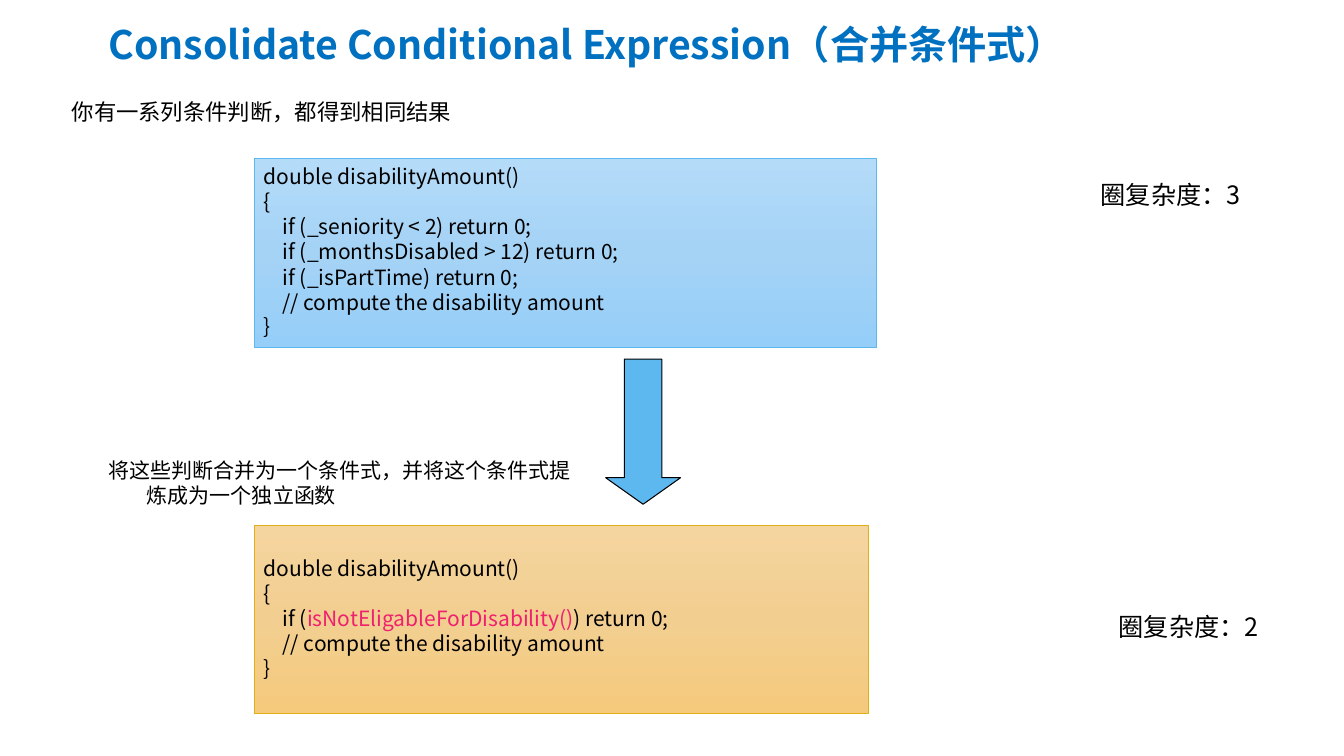
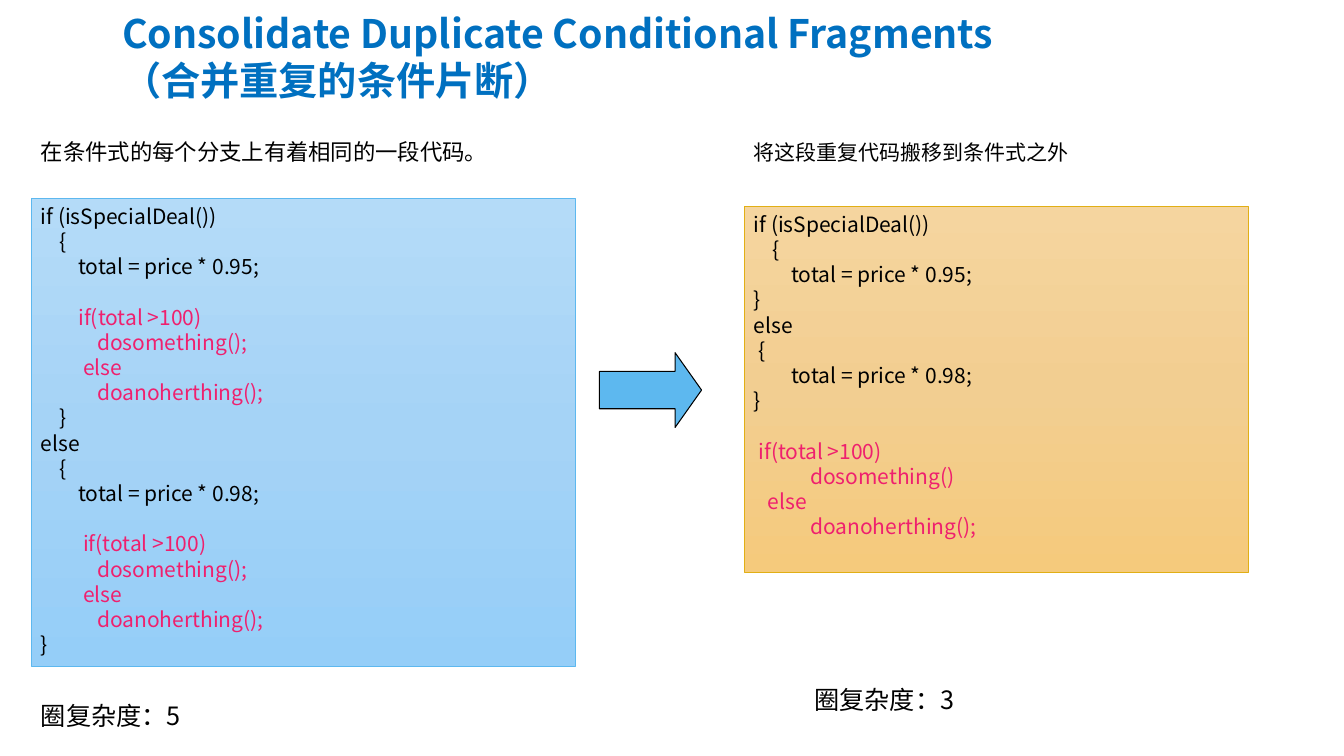
import copy

import pptx
import pptx.dml.color
import pptx.enum.shapes
import pptx.enum.text
import pptx.oxml
import pptx.oxml.ns
import pptx.util

Pt = pptx.util.Pt
FACE = "Noto Sans CJK SC"
HUES = {
    "ink": "000000",
    "title": "0070C0",
    "mark": "EF206E",
    "arrow": "5DB8EF",
}
CARDS = {
    "before": ("5DB8EF", ("B4DBF8", "A5D3F6", "95CEF8")),
    "after": ("E1AF15", ("F5D59F", "F2CE91", "F5CA7C")),
}

CONDS = """double disabilityAmount()
{
    if (_seniority < 2) return 0;
    if (_monthsDisabled > 12) return 0;
    if (_isPartTime) return 0;
    // compute the disability amount
｝"""

MERGED = """double disabilityAmount()
{
    if (|isNotEligableForDisability()|) return 0;
    // compute the disability amount
｝"""

TWICE = """if (isSpecialDeal())
    {
        total = price * 0.95;

|        if(total >100)
|            dosomething();
|         else
|            doanoherthing();
    }
else
    {
        total = price * 0.98;

|         if(total >100)
|            dosomething();
|         else
|            doanoherthing();
}"""

ONCE = """if (isSpecialDeal())
    {
        total = price * 0.95;
}
else
 {
        total = price * 0.98;
}

| if(total >100)
|            dosomething()
|   else
|            doanoherthing();"""


def tint(code):
    return pptx.dml.color.RGBColor.from_string(code)


class Deck:
    """Draws styled parts on a grid of 100 columns by 100 rows."""

    def __init__(self):
        self.prs = pptx.Presentation()
        self.prs.slide_width = pptx.util.Inches(13.33)
        self.prs.slide_height = pptx.util.Inches(7.5)
        self.page = None

    def start(self):
        self.page = self.prs.slides.add_slide(self.prs.slide_layouts[6])

    def place(self, left, top, wide, high):
        col, row = self.prs.slide_width / 100, self.prs.slide_height / 100
        return [round(n) for n in (left * col, top * row, wide * col, high * row)]

    def style(self, para, size, hue, face=FACE, bold=False):
        para.line_spacing = Pt(size * 1.2)
        font = para.font
        font.size, font.name, font.bold = Pt(size), face, bold
        font.color.rgb = tint(HUES[hue])
        east = pptx.oxml.parse_xml(
            f'<a:ea {pptx.oxml.ns.nsdecls("a")} typeface="{FACE}"/>')
        font._element.append(east)

    def text(self, words, area, size, hue="ink", face=FACE, bold=False, hang=0):
        frame = self.page.shapes.add_textbox(*self.place(*area)).text_frame
        frame.word_wrap = True
        for num, line in enumerate(words.split("\n")):
            para = frame.add_paragraph() if num else frame.paragraphs[0]
            para.text = line
            if hang:
                props = para._p.get_or_add_pPr()
                props.set("marL", str(pptx.util.Inches(hang)))
                props.set("indent", str(-pptx.util.Inches(hang)))
            self.style(para, size, hue, face, bold)
        return frame

    def title(self, words, left, top, high):
        frame = self.text(words, (left, top, 76, high), 28, "title", bold=True)
        frame.vertical_anchor = pptx.enum.text.MSO_ANCHOR.MIDDLE

    def note(self, words, left, top, wide, size, high=5):
        self.text(words, (left, top, wide, high), size, face="Arial", hang=0.38)

    def score(self, count, left, top):
        self.text(f"圈复杂度：{count}", (left, top, 17.5, 5.3), 18)

    def shape(self, kind, area, line, width):
        form = self.page.shapes.add_shape(kind, *self.place(*area))
        form.shadow.inherit = False
        form.line.color.rgb = tint(line)
        form.line.width = Pt(width)
        return form

    def arrow(self, area, turn=0):
        kind = pptx.enum.shapes.MSO_SHAPE.RIGHT_ARROW
        form = self.shape(kind, area, HUES["ink"], 0.75)
        form.adjustments[0], form.adjustments[1] = 0.5, 0.354
        form.rotation = turn
        form.fill.solid()
        form.fill.fore_color.rgb = tint(HUES["arrow"])

    def blend(self, form, shades):
        form.fill.gradient()
        form.fill.gradient_angle = 270
        stops = form._element.spPr.find(".//" + pptx.oxml.ns.qn("a:gsLst"))
        stops.insert(1, copy.deepcopy(stops[0]))
        for num, (stop, shade) in enumerate(zip(form.fill.gradient_stops, shades)):
            stop.position = num / 2
            stop.color.rgb = tint(shade)

    def code(self, card, source, area, pad=0):
        line, shades = CARDS[card]
        form = self.shape(pptx.enum.shapes.MSO_SHAPE.RECTANGLE, area, line, 0.5)
        self.blend(form, shades)
        frame = form.text_frame
        frame.word_wrap = True
        frame.vertical_anchor = pptx.enum.text.MSO_ANCHOR.TOP
        frame.margin_top = Pt(3.6 + pad)
        para, gap = frame.paragraphs[0], 0
        for num, row in enumerate(source.split("\n")):
            if not row:
                gap = 18
                continue
            para = frame.add_paragraph() if num else para
            para.alignment = pptx.enum.text.PP_ALIGN.LEFT
            if gap:
                para.space_before, gap = Pt(gap), 0
            bits = [(bit, ("ink", "mark")[part % 2])
                    for part, bit in enumerate(row.split("|")) if bit]
            base = bits[0][1]
            self.style(para, 15, base)
            for bit, hue in bits:
                run = para.add_run()
                run.text = bit
                if hue != base:
                    run.font.color.rgb = tint(HUES[hue])


def main():
    deck = Deck()

    deck.start()
    deck.title("Consolidate Conditional Expression（合并条件式）", 7.35, 2, 7.6)
    deck.note("你有一系列条件判断，都得到相同结果", 4.6, 12.3, 34, 16)
    deck.note("将这些判断合并为一个条件式，并将这个条件式提炼成为一个独立函数",
              7.35, 59.9, 36.15, 15, 8)
    deck.arrow((42.45, 52.15, 10.8, 9.9), 90)
    deck.code("before", CONDS, (18.9, 20.95, 46.3, 24.95))
    deck.code("after", MERGED, (18.9, 69.45, 45.7, 24.95), 18)
    deck.score(3, 81.15, 23.05)
    deck.score(2, 82.5, 80.25)

    deck.start()
    deck.title("Consolidate Duplicate Conditional Fragments\n（合并重复的条件片断）",
               8.35, 0.55, 13.9)
    deck.note("在条件式的每个分支上有着相同的一段代码。", 2.3, 17.6, 37, 16)
    deck.note("将这段重复代码搬移到条件式之外", 55.35, 17.75, 36.15, 15)
    deck.code("before", TWICE, (2.3, 26.25, 40.5, 61.85))
    deck.code("after", ONCE, (55.35, 27.3, 37.5, 48.4))
    deck.arrow((44.6, 46.65, 7.6, 9.9))
    deck.score(5, 2.3, 92)
    deck.score(3, 59.85, 89.85)

    deck.prs.save("out.pptx")


if __name__ == "__main__":
    main()
